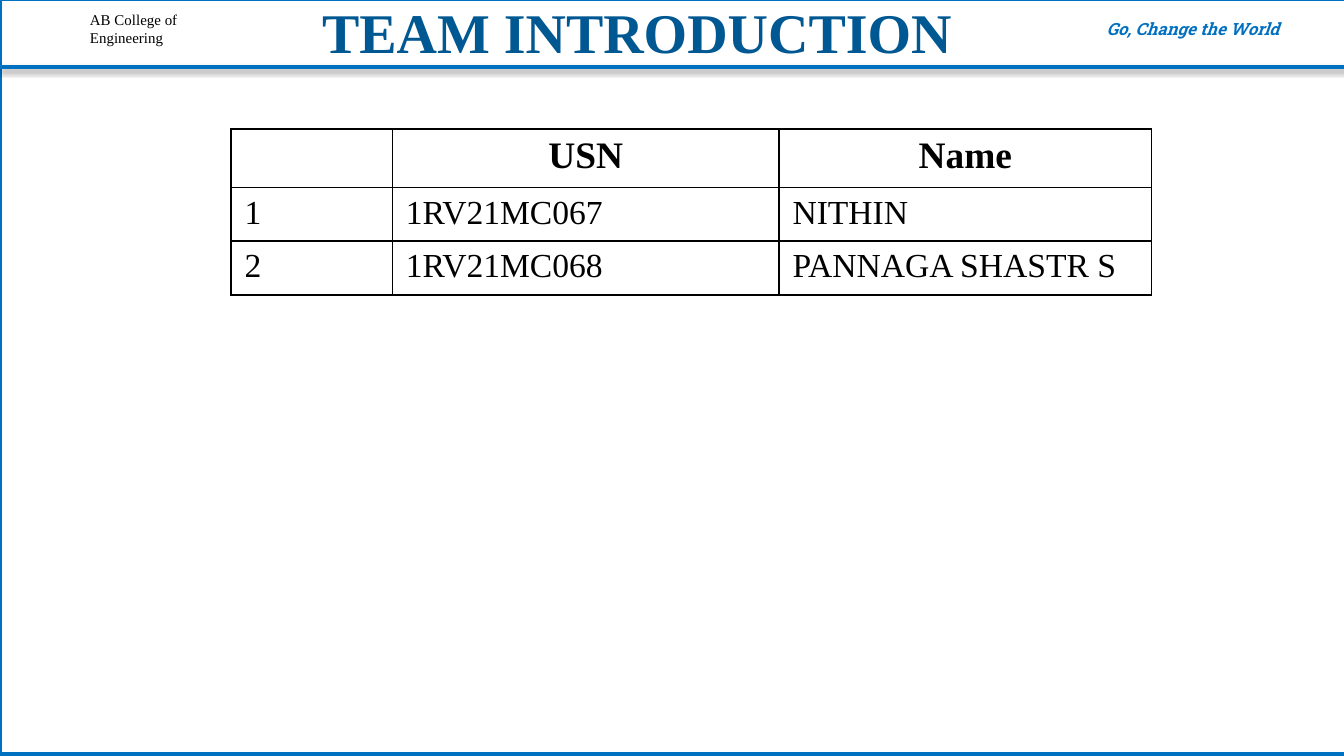
from pptx import Presentation
from pptx.util import Pt
from pptx.dml.color import RGBColor
from pptx.enum.shapes import MSO_CONNECTOR, MSO_SHAPE
from pptx.enum.text import PP_ALIGN
from pptx.oxml import parse_xml
from pptx.oxml.ns import nsdecls


def rgb(value):
    return RGBColor.from_string(value)


def add_text(s, box, lines, font, size, color, align=PP_ALIGN.LEFT, bold=False, italic=False):
    tf = s.shapes.add_textbox(*map(Pt, box)).text_frame
    tf.word_wrap = True
    tf.margin_left = tf.margin_right = Pt(5)
    tf.margin_top = tf.margin_bottom = Pt(3)
    for i, line in enumerate(lines):
        p = tf.add_paragraph() if i else tf.paragraphs[0]
        p.text = line
        p.alignment = align
        p.font.name, p.font.size = font, Pt(size)
        p.font.bold, p.font.italic = bold, italic
        p.font.color.rgb = rgb(color)
    return tf


SERIF = "Times New Roman"
BLUE = "0070C0"

prs = Presentation()
prs.slide_width, prs.slide_height = Pt(720), Pt(405)
s = prs.slides.add_slide(prs.slide_layouts[6])
s.background.fill.solid()
s.background.fill.fore_color.rgb = rgb("2E75B5")

frame = s.shapes.add_shape(MSO_SHAPE.RECTANGLE, Pt(0), Pt(-0.5), Pt(723), Pt(404.5))
frame.shadow.inherit = False
frame.fill.solid()
frame.fill.fore_color.rgb = rgb("FFFFFF")
frame.line.color.rgb = rgb(BLUE)
frame.line.width = Pt(2)

add_text(s, (43.2, 2.9, 79, 24.5), ["AB College of", "Engineering"], SERIF, 8, "000000")

rule = s.shapes.add_connector(MSO_CONNECTOR.STRAIGHT, Pt(0), Pt(36), Pt(725), Pt(36))
rule.line.color.rgb = rgb(BLUE)
rule.line.width = Pt(2)
rule._element.spPr.append(parse_xml(
    f'<a:effectLst {nsdecls("a")}>'
    f'<a:outerShdw blurRad="{Pt(3.1)}" dist="{Pt(1.6)}" dir="5400000" rotWithShape="0">'
    '<a:srgbClr val="000000"><a:alpha val="37000"/></a:srgbClr>'
    '</a:outerShdw></a:effectLst>'))

add_text(s, (558, 7.2, 162, 16.5), ["Go, Change the World"], "Roboto Slab", 9, BLUE,
         PP_ALIGN.CENTER, bold=True, italic=True)
title = add_text(s, (100.8, 0, 481, 33), ["TEAM INTRODUCTION"], SERIF, 30, "005893",
                 PP_ALIGN.CENTER, bold=True)
title.paragraphs[0].line_spacing = 0.9

rows = [
    ["", "USN", "Name"],
    ["1", "1RV21MC067", "NITHIN"],
    ["2", "1RV21MC068", "PANNAGA SHASTR S"],
]
widths = [86.4, 207.2, 199.6]
heights = [31.4, 28.9, 28.9]
table = s.shapes.add_table(len(rows), len(widths), Pt(123.8), Pt(69),
                           Pt(sum(widths)), Pt(sum(heights))).table
table.first_row = table.horz_banding = False
for column, width in zip(table.columns, widths):
    column.width = Pt(width)
for row, height in zip(table.rows, heights):
    row.height = Pt(height)

for r, values in enumerate(rows):
    header = r == 0
    for c, value in enumerate(values):
        cell = table.cell(r, c)
        p = cell.text_frame.paragraphs[0]
        p.text = value
        p.alignment = PP_ALIGN.CENTER if header else PP_ALIGN.LEFT
        p.font.name, p.font.size = SERIF, Pt(20 if header else 18)
        p.font.bold = header
        p.font.color.rgb = rgb("000000")
        tcPr = cell._tc.get_or_add_tcPr()
        for side in ("lnL", "lnR", "lnT", "lnB"):
            tcPr.append(parse_xml(
                f'<a:{side} {nsdecls("a")} w="{Pt(1)}"><a:solidFill>'
                f'<a:srgbClr val="000000"/></a:solidFill></a:{side}>'))
        cell.fill.background()

prs.save("out.pptx")
